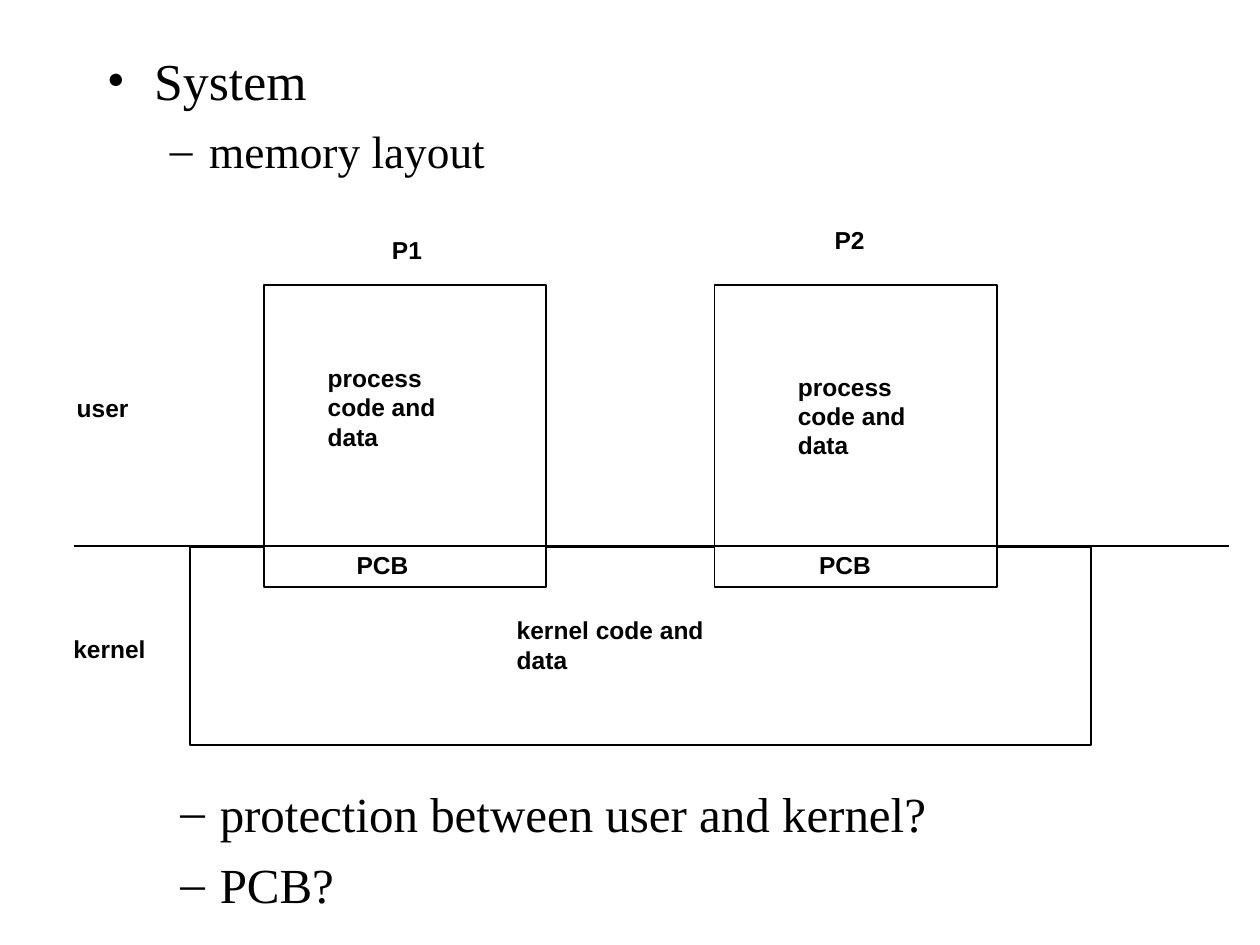
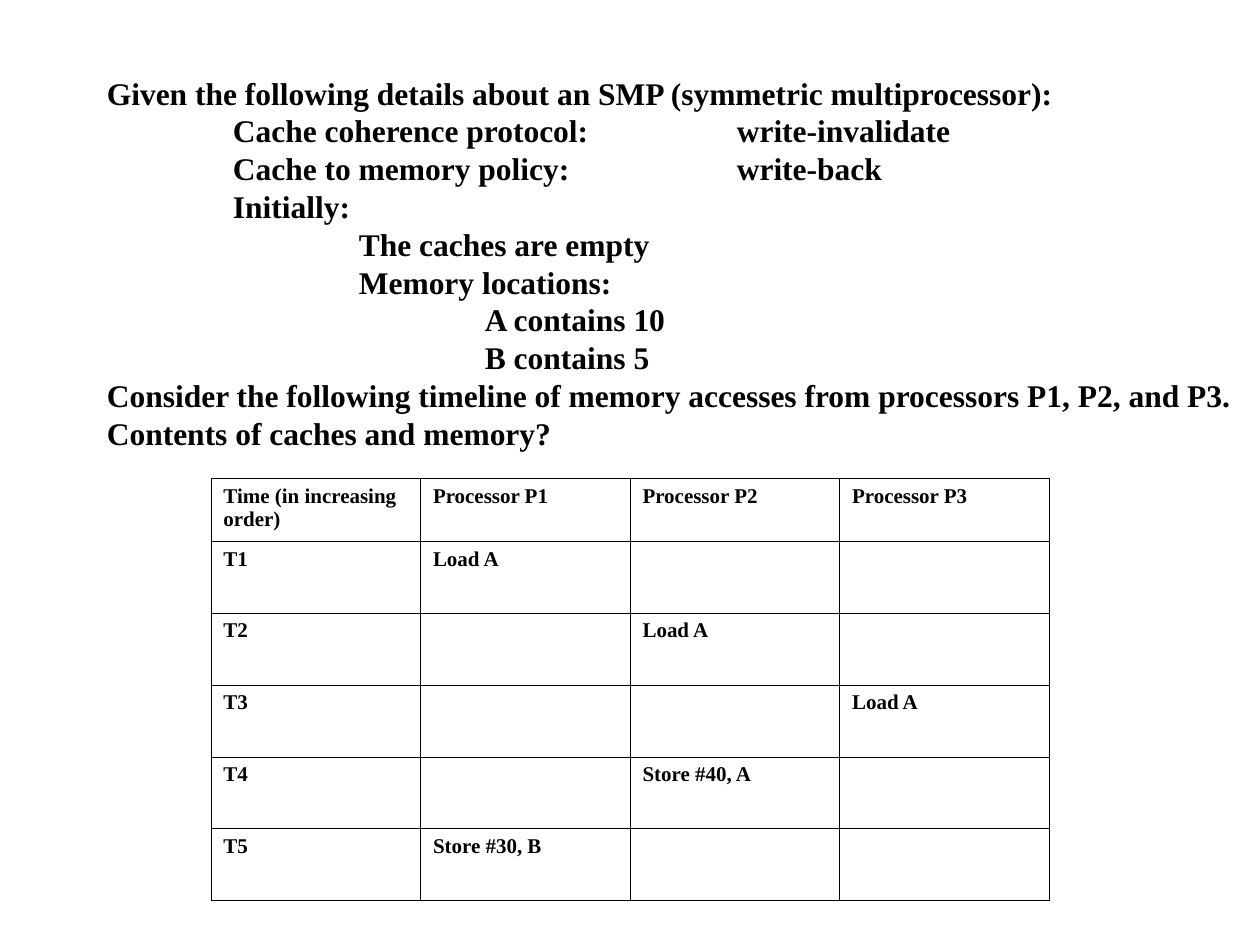
from pptx import Presentation
from pptx.dml.color import RGBColor
from pptx.enum.shapes import MSO_CONNECTOR as Conn, MSO_SHAPE as Kind
from pptx.enum.text import MSO_ANCHOR as Anchor
from pptx.oxml.ns import qn
from pptx.util import Pt
from lxml.etree import SubElement as Sub

BLACK = RGBColor(0, 0, 0)
WHITE = RGBColor(255, 255, 255)
SERIF, SANS = "Times New Roman", "Arial"
INCH = 72

DETAILS = [
    (0, "Given the following details about an SMP (symmetric multiprocessor):"),
    (1, "Cache coherence protocol:\t\twrite-invalidate"),
    (1, "Cache to memory policy:\t\twrite-back"),
    (1, "Initially:"),
    (2, "The caches are empty"),
    (2, "Memory locations:"),
    (3, "A contains 10"),
    (3, "B contains 5"),
    (0, "Consider the following timeline of memory accesses from processors P1, P2, and P3."),
    (0, "Contents of caches and memory?"),
]
HEADS = ["Time (in increasing order)", "Processor P1", "Processor P2", "Processor P3"]
STEPS = [(1, "Load A"), (2, "Load A"), (3, "Load A"), (2, "Store #40, A"), (1, "Store #30, B")]


def style(par, text, size=14, font=SANS, bold=True, lead=1.2):
    """Write one paragraph in the given format."""
    par.line_spacing = Pt(round(size * lead, 1))
    run = par.add_run()
    run.text = text
    run.font.size, run.font.name, run.font.bold = Pt(size), font, bold
    run.font.color.rgb = BLACK


def write(slide, text, box, wrap=True, **form):
    """Add a text box, one paragraph to each line, and return its frame."""
    frame = slide.shapes.add_textbox(*map(Pt, box)).text_frame
    frame.word_wrap = wrap
    for num, line in enumerate(text.split("\n")):
        par = frame.add_paragraph() if num else frame.paragraphs[0]
        style(par, line, **form)
    return frame


def bullets(slide, box, items):
    """Add a bulleted list of (level, text, size) items."""
    frame = slide.shapes.add_textbox(*map(Pt, box)).text_frame
    frame.word_wrap = True
    for num, (level, text, size) in enumerate(items):
        par = frame.add_paragraph() if num else frame.paragraphs[0]
        left, hang, mark = [(27, 27, "•"), (58.5, 22.5, "–")][level]
        par.level = level
        props = par._p.get_or_add_pPr()
        props.set("marL", str(Pt(left)))
        props.set("indent", str(-Pt(hang)))
        Sub(props, qn("a:buFont"), typeface=SERIF)
        Sub(props, qn("a:buChar"), char=mark)
        if num:
            par.space_before = Pt(7)
        style(par, text, size=size, font=SERIF, bold=False)


def frame_box(slide, box):
    """Draw a white rectangle with a thin black outline."""
    rect = slide.shapes.add_shape(Kind.RECTANGLE, *map(Pt, box))
    rect.shadow.inherit = False
    rect.fill.solid()
    rect.fill.fore_color.rgb = WHITE
    rect.line.color.rgb = BLACK
    rect.line.width = Pt(1)


def border(slide, x, y, width):
    """Draw the line between user and kernel space."""
    line = slide.shapes.add_connector(Conn.STRAIGHT, Pt(x), Pt(y), Pt(x + width), Pt(y))
    line.line.color.rgb = BLACK
    line.line.width = Pt(1)
    Sub(line._element.spPr, qn("a:effectLst"))


def process(slide, box, name, code, pcb):
    """Label one process with its name, its code and its PCB."""
    x, y, _, _ = box
    title, dx, dy = name
    write(slide, title, (x + dx, y + dy, 38, 24))
    text, dx, dy, width = code
    write(slide, text, (x + dx, y + dy, width, 58))
    write(slide, "PCB", (x + pcb, y + 148, 48, 24))


def layout(slide, box):
    """Draw the memory layout of two processes over the kernel."""
    x, y, width, _ = box
    first = (x + 121.9, y + 38, 161.3, 172.8)
    second = (x + 379.6, y + 38, 161.3, 172.8)
    for part in ((x + 79.9, y + 188, 514.8, 113), first, second):
        frame_box(slide, part)
    border(slide, x + 13.7, y + 187.2, width - 13.7)
    write(slide, "user", (x + 7.9, y + 96.2, 60, 24))
    write(slide, "kernel", (x + 6, y + 233.8, 64, 24))
    write(slide, "kernel code and data", (x + 259.4, y + 223.2, 149.8, 41))
    process(slide, first, ("P1", 66.2, -31.8), ("process code and data", 29.5, 41, 102), 46)
    process(slide, second, ("P2", 61.4, -38), ("process\ncode and\ndata", 40.4, 46, 84), 52.6)


def details(slide, box):
    """List the details, indented by tab stops an inch apart."""
    text = "\n".join("\t" * level + line for level, line in DETAILS)
    frame = write(slide, text, box, wrap=False, size=18, font=SERIF)
    frame.vertical_anchor = Anchor.MIDDLE
    for par in frame.paragraphs:
        tabs = Sub(par._p.get_or_add_pPr(), qn("a:tabLst"))
        for stop in range(1, 9):
            Sub(tabs, qn("a:tab"), pos=str(Pt(stop * INCH)), algn="l")


def edge(cell):
    """Give a cell thin black borders and a white fill."""
    props = cell._tc.get_or_add_tcPr()
    for side in "LRTB":
        line = Sub(props, qn(f"a:ln{side}"), w=str(Pt(0.45)))
        Sub(Sub(line, qn("a:solidFill")), qn("a:srgbClr"), val=str(BLACK))
    cell.fill.solid()
    cell.fill.fore_color.rgb = WHITE


def timeline(slide, box):
    """Add the table of memory accesses over time."""
    rows = [HEADS]
    for num, (col, act) in enumerate(STEPS, 1):
        rows.append([f"T{num}"] + [act if col == at else "" for at in (1, 2, 3)])
    table = slide.shapes.add_table(len(rows), len(HEADS), *map(Pt, box)).table
    table.first_row = table.horz_banding = False
    head = 36
    for num, row in enumerate(rows):
        table.rows[num].height = Pt((box[3] - head) / len(STEPS) if num else head)
        for col, text in enumerate(row):
            cell = table.cell(num, col)
            edge(cell)
            if text:
                style(cell.text_frame.paragraphs[0], text, size=12, font=SERIF, lead=1.1)


def main():
    """Build both slides and save them."""
    deck = Presentation()
    deck.slide_width, deck.slide_height = Pt(10 * INCH), Pt(7.5 * INCH)
    blank = deck.slide_layouts[6]
    memory = deck.slides.add_slide(blank)
    bullets(memory, (54, 24.5, 612, 84), [(0, "System", 29.6), (1, "memory layout", 25.9)])
    bullets(memory, (60, 444, 612, 84),
            [(1, "protection between user and kernel?", 28), (1, "PCB?", 28)])
    layout(memory, (28.8, 124.8, 673.2, 301))
    caches = deck.slides.add_slide(blank)
    details(caches, (54, 38.5, 657.4, 223.2))
    timeline(caches, (120.5, 273.3, 479, 241.4))
    deck.save("out.pptx")


if __name__ == "__main__":
    main()
